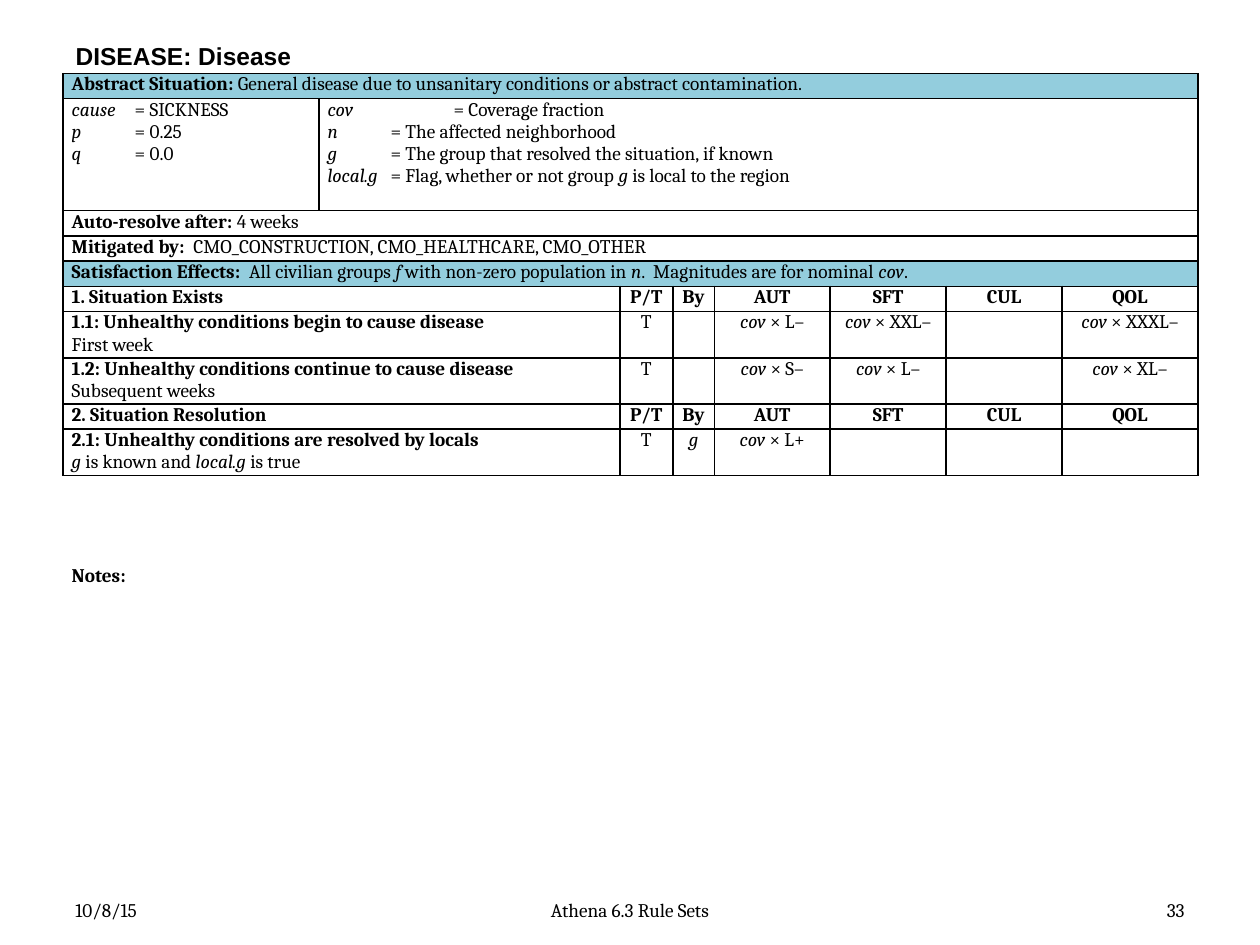
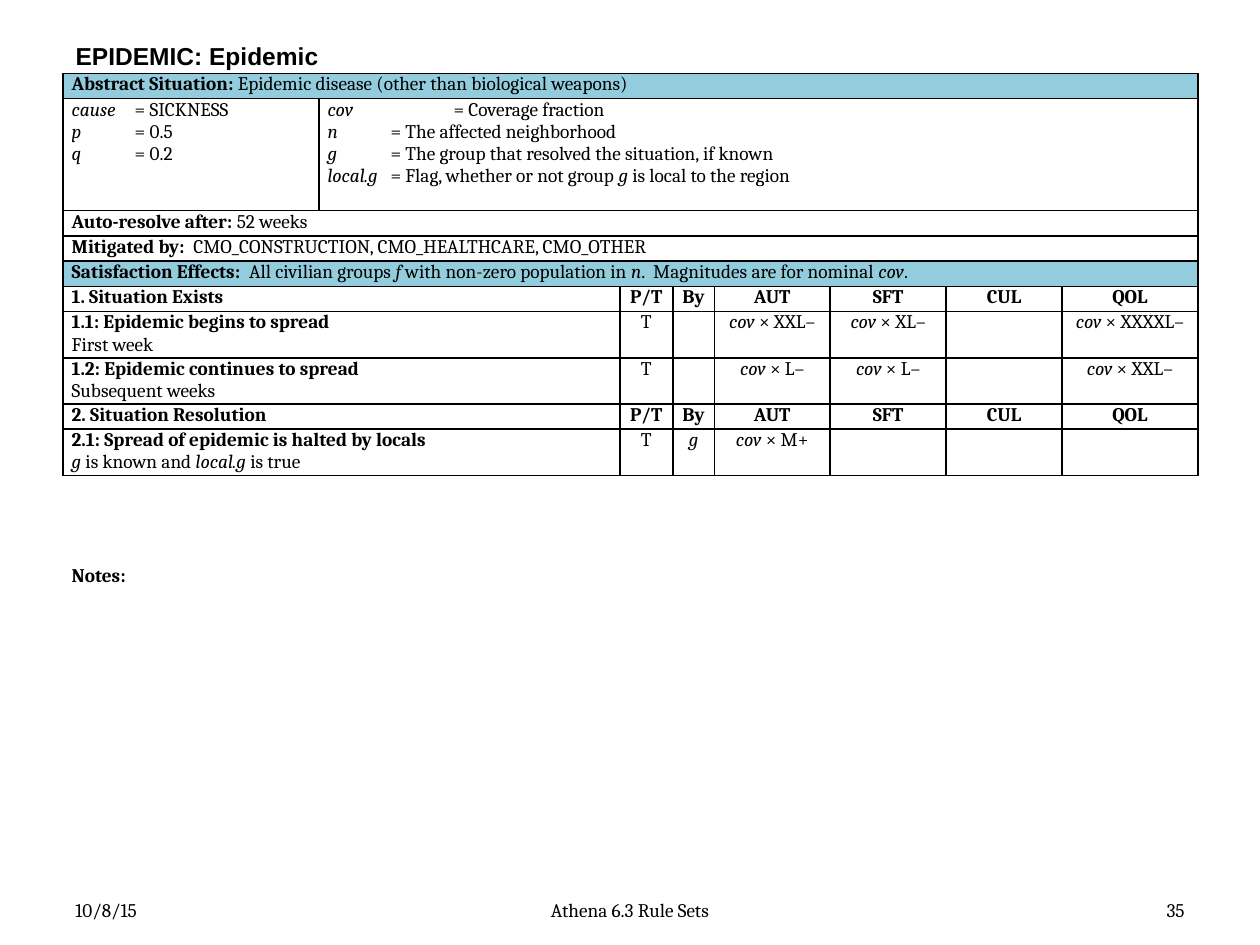
from lxml.etree import SubElement
from pptx import Presentation
from pptx.dml.color import RGBColor
from pptx.enum.text import MSO_ANCHOR, MSO_AUTO_SIZE, PP_ALIGN
from pptx.oxml.ns import qn
from pptx.util import Pt

BLACK, WHITE, BAND = "000000", "FFFFFF", "93CDDD"
TITLE_FONT = {"name": "Arial", "size": Pt(14), "bold": True}
BODY_FONT = {"name": "Cambria", "size": Pt(11)}
TAB, WIDE_TAB = 36, 72

COLUMNS = [146.16, 172.08, 30.24, 23.76, 66.24, 66.24, 66.24, 77.76]
LINE_ROW, PAIR_ROW, VARIABLE_ROW = 14.4, 25.4, 64
HEADINGS = ["P/T", "By", "AUT", "SFT", "CUL", "QOL"]
VARIABLES = [
    "~cov~\t= Coverage fraction",
    "~n~\t= The affected neighborhood",
    "~g~\t= The group that resolved the situation, if known",
    "~local.g~\t= Flag, whether or not group ~g~ is local to the region",
]

# In all texts, * switches bold and ~ switches italic
SITUATIONS = [
    {
        "title": "DISEASE: Disease", "page": "33",
        "summary": "General disease due to unsanitary conditions or abstract contamination.",
        "p": "0.25", "q": "0.0", "weeks": "4",
        "begins": ("Unhealthy conditions begin to cause disease", "L–", "XXL–", "XXXL–"),
        "continues": ("Unhealthy conditions continue to cause disease", "S–", "L–", "XL–"),
        "resolved": ("Unhealthy conditions are resolved by locals", "L+"),
    },
    {
        "title": "EPIDEMIC: Epidemic", "page": "35",
        "summary": "Epidemic disease (other than biological weapons)",
        "p": "0.5", "q": "0.2", "weeks": "52",
        "begins": ("Epidemic begins to spread", "XXL–", "XL–", "XXXXL–"),
        "continues": ("Epidemic continues to spread", "L–", "L–", "XXL–"),
        "resolved": ("Spread of epidemic is halted by locals", "M+"),
    },
]


def color(value):
    return RGBColor.from_string(value)


def set_all(target, values):
    for name, value in values.items():
        setattr(target, name, value)


class RuleSheet:
    """Holds the deck, the shared style and the current page."""

    def __init__(self):
        self.deck = Presentation()
        set_all(self.deck, {"slide_width": Pt(720), "slide_height": Pt(540)})
        self.page = None

    def add_lines(self, frame, lines, align=PP_ALIGN.LEFT, font=BODY_FONT, tabs=()):
        for index, line in enumerate(lines):
            para = frame.paragraphs[0] if index == 0 else frame.add_paragraph()
            para.alignment = align
            if tabs:
                stops = SubElement(para._p.get_or_add_pPr(), qn("a:tabLst"))
                SubElement(stops, qn("a:tab"), pos=str(Pt(tabs[index])), algn="l")
            for bold, chunk in enumerate(line.split("*")):
                for italic, words in enumerate(chunk.split("~")):
                    if words:
                        span = para.add_run()
                        span.text = words
                        set_all(span.font, {"bold": bold % 2 == 1,
                                            "italic": italic % 2 == 1, **font})
                        span.font.color.rgb = color(BLACK)

    def add_page(self, title):
        self.page = self.deck.slides.add_slide(self.deck.slide_layouts[5])
        box = self.page.shapes.title
        set_all(box, {"left": Pt(36), "top": Pt(21.6), "width": Pt(648), "height": Pt(20.16)})
        set_all(box.text_frame, {"auto_size": MSO_AUTO_SIZE.NONE, "word_wrap": True,
                                 "vertical_anchor": MSO_ANCHOR.MIDDLE})
        self.add_lines(box.text_frame, [title], font=TITLE_FONT)

    def add_text(self, text, left, top, width, height,
                 align=PP_ALIGN.LEFT, anchor=MSO_ANCHOR.TOP):
        box = self.page.shapes.add_textbox(Pt(left), Pt(top), Pt(width), Pt(height))
        set_all(box.text_frame, {"word_wrap": True, "vertical_anchor": anchor})
        self.add_lines(box.text_frame, [text], align)

    def add_footer(self, number):
        parts = [("10/8/15", 36, 168, PP_ALIGN.LEFT),
                 ("Athena 6.3 Rule Sets", 246, 228, PP_ALIGN.CENTER),
                 (number, 516, 168, PP_ALIGN.RIGHT)]
        for text, left, width, align in parts:
            self.add_text(text, left, 510, width, 19.44, align, MSO_ANCHOR.MIDDLE)

    def add_grid(self, heights):
        frame = self.page.shapes.add_table(len(heights), len(COLUMNS), Pt(36), Pt(42),
                                           Pt(sum(COLUMNS)), Pt(sum(heights)))
        grid = frame.table
        set_all(grid, {"first_row": False, "horz_banding": False})
        for column, width in zip(grid.columns, COLUMNS):
            column.width = Pt(width)
        for row, height in zip(grid.rows, heights):
            row.height = Pt(height)
        for cell in grid.iter_cells():
            set_all(cell, {"margin_left": Pt(5), "margin_right": Pt(5),
                           "margin_top": 0, "margin_bottom": 0})
            self.add_borders(cell)
            self.fill(cell, WHITE)
        return grid

    def add_borders(self, cell):
        properties = cell._tc.get_or_add_tcPr()
        for side in ("a:lnL", "a:lnR", "a:lnT", "a:lnB"):
            line = SubElement(properties, qn(side), w=str(Pt(1)))
            SubElement(SubElement(line, qn("a:solidFill")), qn("a:srgbClr"), val=BLACK)

    def fill(self, cell, value):
        cell.fill.solid()
        cell.fill.fore_color.rgb = color(value)

    def add_span(self, grid, row, first, last, lines, fill=WHITE, tabs=()):
        cell = grid.cell(row, first)
        if last > first:
            cell.merge(grid.cell(row, last))
        self.fill(cell, fill)
        self.add_lines(cell.text_frame, lines, tabs=tabs)

    def add_effect_row(self, grid, row, lines, values):
        self.add_span(grid, row, 0, 1, lines)
        for column, value in enumerate(values, start=2):
            self.add_lines(grid.cell(row, column).text_frame, [value], PP_ALIGN.CENTER)

    def add_situation_table(self, facts):
        grid = self.add_grid([LINE_ROW, VARIABLE_ROW] + [LINE_ROW] * 4
                             + [PAIR_ROW] * 2 + [LINE_ROW, PAIR_ROW])
        # Full-width rows
        full_rows = {
            0: (f"*Abstract Situation:* {facts['summary']}", BAND),
            2: (f"*Auto-resolve after:* {facts['weeks']} weeks", WHITE),
            3: ("*Mitigated by:*  CMO_CONSTRUCTION, CMO_HEALTHCARE, CMO_OTHER", WHITE),
            4: ("*Satisfaction Effects:  *All civilian groups ~f ~with non-zero population "
                "in ~n~.  Magnitudes are for nominal ~cov~.", BAND),
        }
        for row, (text, fill) in full_rows.items():
            self.add_span(grid, row, 0, 7, [text], fill)
        # Parameters and variables
        parameters = ["~cause~\t= SICKNESS", f"~p~\t= {facts['p']}", f"~q~\t= {facts['q']}"]
        self.add_span(grid, 1, 0, 0, parameters, tabs=[TAB] * 3)
        self.add_span(grid, 1, 1, 7, VARIABLES, tabs=[WIDE_TAB] + [TAB] * 3)
        # Section headings
        for row, heading in ((5, "1. Situation Exists"), (8, "2. Situation Resolution")):
            self.add_effect_row(grid, row, [f"*{heading}*"], [f"*{name}*" for name in HEADINGS])
        # Effects
        for row, number, key, when in ((6, "1.1", "begins", "First week"),
                                       (7, "1.2", "continues", "Subsequent weeks"),
                                       (9, "2.1", "resolved", "~g~ is known and ~local.g~ is true")):
            effect, *sizes = facts[key]
            by = "~g~" if key == "resolved" else ""
            marks = [f"~cov~ × {size}" for size in sizes]
            values = ["T", by, *marks[:2], "", *marks[2:]]
            self.add_effect_row(grid, row, [f"*{number}: {effect}*", when], values)


def main():
    sheet = RuleSheet()
    for facts in SITUATIONS:
        sheet.add_page(facts["title"])
        sheet.add_footer(facts["page"])
        sheet.add_situation_table(facts)
        sheet.add_text("*Notes:*", 33.84, 318.24, 653.76, 20.88)
    sheet.deck.save("out.pptx")


if __name__ == "__main__":
    main()
